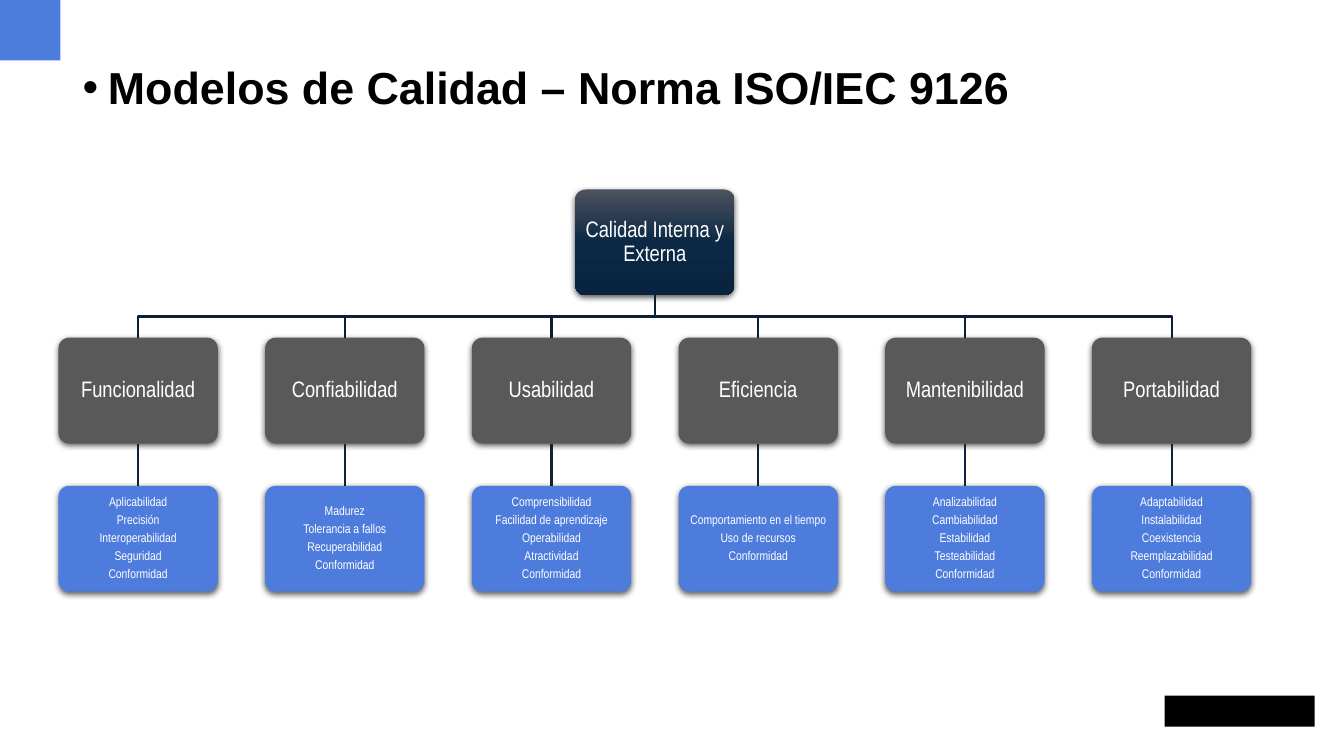
from dataclasses import dataclass

import pptx
import pptx.dml.color
import pptx.enum.shapes
import pptx.enum.text
import pptx.oxml
import pptx.oxml.ns
import pptx.shapes.autoshape
import pptx.slide
import pptx.util
from pptx.util import Inches

COLORS = {
    "accent": "4E7CDD",
    "characteristic": "595959",
    "text": "FFFFFF",
    "heading": "000000",
    "branch": "0B2034",
    "link": "0D243B",
}
ROOT_GRADIENT = {0: "4C525F", 50: "0B2844", 100: "08243E"}

BOX_WIDTH, BOX_HEIGHT = 1.58, 1.05
FIRST_LEFT, COLUMN_STEP = 0.58, 2.05
ROOT_TOP, CHARACTERISTIC_TOP, DETAIL_TOP = 1.88, 3.35, 4.82
TOP_SIDE, BOTTOM_SIDE = 0, 2


@dataclass(frozen=True)
class Level:
    top: float
    fill: str
    font_size: float
    inset: float


@dataclass(frozen=True)
class Characteristic:
    name: str
    details: tuple[str, ...]


ROOT = Level(ROOT_TOP, ROOT_GRADIENT[50], 16, 0.07)
CHARACTERISTIC = Level(CHARACTERISTIC_TOP, COLORS["characteristic"], 16, 0.07)
DETAIL = Level(DETAIL_TOP, COLORS["accent"], 9, 0.04)

CHARACTERISTICS = (
    Characteristic("Funcionalidad", (
        "Aplicabilidad", "Precisión", "Interoperabilidad", "Seguridad", "Conformidad")),
    Characteristic("Confiabilidad", (
        "Madurez", "Tolerancia a fallos", "Recuperabilidad", "Conformidad")),
    Characteristic("Usabilidad", (
        "Comprensibilidad", "Facilidad de aprendizaje", "Operabilidad",
        "Atractividad", "Conformidad")),
    Characteristic("Eficiencia", (
        "Comportamiento en el tiempo", "Uso de recursos", "Conformidad")),
    Characteristic("Mantenibilidad", (
        "Analizabilidad", "Cambiabilidad", "Estabilidad", "Testeabilidad", "Conformidad")),
    Characteristic("Portabilidad", (
        "Adaptabilidad", "Instalabilidad", "Coexistencia", "Reemplazabilidad",
        "Conformidad")),
)


def rgb(color: str) -> pptx.dml.color.RGBColor:
    return pptx.dml.color.RGBColor.from_string(color)


def add_shadow(box: pptx.shapes.autoshape.Shape) -> None:
    box.shadow.inherit = False
    effects = box._element.spPr.find(pptx.oxml.ns.qn("a:effectLst"))
    effects.append(pptx.oxml.parse_xml(
        f'<a:outerShdw {pptx.oxml.ns.nsdecls("a")} blurRad="57150" dist="19050" '
        'dir="5400000" algn="ctr" rotWithShape="0">'
        '<a:srgbClr val="000000"><a:alpha val="63000"/></a:srgbClr></a:outerShdw>'))


def apply_root_gradient(box: pptx.shapes.autoshape.Shape) -> None:
    box.fill.gradient()
    box.fill.gradient_angle = 270
    stops = box._element.spPr.find(".//" + pptx.oxml.ns.qn("a:gsLst"))
    stops.clear()
    for percent, color in ROOT_GRADIENT.items():
        stops.append(pptx.oxml.parse_xml(
            f'<a:gs {pptx.oxml.ns.nsdecls("a")} pos="{percent * 1000}">'
            f'<a:srgbClr val="{color}"/></a:gs>'))


def add_plain_shape(slide: pptx.slide.Slide, kind: pptx.enum.shapes.MSO_SHAPE,
                    left: float, top: float, width: float, height: float,
                    color: str) -> pptx.shapes.autoshape.Shape:
    shape = slide.shapes.add_shape(
        kind, Inches(left), Inches(top), Inches(width), Inches(height))
    shape.shadow.inherit = False
    shape.fill.solid()
    shape.fill.fore_color.rgb = rgb(color)
    shape.line.fill.background()
    return shape


def add_box(slide: pptx.slide.Slide, level: Level, column: float,
            lines: tuple[str, ...]) -> pptx.shapes.autoshape.Shape:
    """Add one hierarchy box, with a paragraph for each line."""
    box = add_plain_shape(slide, pptx.enum.shapes.MSO_SHAPE.ROUNDED_RECTANGLE,
                          FIRST_LEFT + column * COLUMN_STEP, level.top,
                          BOX_WIDTH, BOX_HEIGHT, level.fill)
    box.adjustments[0] = 0.1
    add_shadow(box)
    frame = box.text_frame
    frame.word_wrap = True
    frame.vertical_anchor = pptx.enum.text.MSO_ANCHOR.MIDDLE
    frame.margin_left = frame.margin_right = Inches(level.inset)
    frame.margin_top = frame.margin_bottom = Inches(level.inset)
    for index, line in enumerate(lines):
        paragraph = frame.add_paragraph() if index else frame.paragraphs[0]
        paragraph.alignment = pptx.enum.text.PP_ALIGN.CENTER
        paragraph.line_spacing = 0.9
        paragraph.space_after = pptx.util.Pt(level.font_size * 0.35)
        run = paragraph.add_run()
        run.text = line
        run.font.name = "Arial Narrow"
        run.font.size = pptx.util.Pt(level.font_size)
        run.font.color.rgb = rgb(COLORS["text"])
    return box


def join_boxes(slide: pptx.slide.Slide, upper: pptx.shapes.autoshape.Shape,
               lower: pptx.shapes.autoshape.Shape, color: str) -> None:
    """Join the bottom of one box to the top of another, with an elbow if they are offset."""
    kinds = pptx.enum.shapes.MSO_CONNECTOR
    offset = lower.left - upper.left
    line = slide.shapes.add_connector(kinds.ELBOW if offset else kinds.STRAIGHT, 0, 0, 0, 0)
    line.begin_connect(upper, BOTTOM_SIDE)
    line.end_connect(lower, TOP_SIDE)
    properties = line._element.spPr
    if offset:
        # An elbow leaves sideways, so a quarter turn makes it leave downwards.
        span, drop = line.width, line.height
        line.left += (span - drop) // 2
        line.top += (drop - span) // 2
        line.width, line.height = drop, span
        properties.xfrm.set("rot", "16200000" if offset > 0 else "5400000")
        properties.xfrm.set("flipH", "1" if offset > 0 else "0")
    line.line.color.rgb = rgb(color)
    line.line.width = pptx.util.Pt(1.5)
    properties.append(pptx.oxml.parse_xml(f'<a:effectLst {pptx.oxml.ns.nsdecls("a")}/>'))


def add_heading(slide: pptx.slide.Slide) -> None:
    heading = slide.shapes.title
    heading.left, heading.top = Inches(0.72), Inches(0.6)
    heading.width, heading.height = Inches(10.13), Inches(0.51)
    frame = heading.text_frame
    frame.word_wrap = True
    frame.auto_size = pptx.enum.text.MSO_AUTO_SIZE.NONE
    frame.vertical_anchor = pptx.enum.text.MSO_ANCHOR.TOP
    paragraph = frame.paragraphs[0]
    properties = paragraph._p.get_or_add_pPr()
    properties.set("marL", str(Inches(0.25)))
    properties.set("indent", str(-Inches(0.25)))
    for bullet in ('buFont {} typeface="Arial"', 'buChar {} char="•"'):
        properties.append(pptx.oxml.parse_xml(
            f'<a:{bullet.format(pptx.oxml.ns.nsdecls("a"))}/>'))
    paragraph.alignment = pptx.enum.text.PP_ALIGN.LEFT
    paragraph.line_spacing = 0.9
    run = paragraph.add_run()
    run.text = "Modelos de Calidad – Norma ISO/IEC 9126"
    run.font.name = "Arial"
    run.font.size = pptx.util.Pt(32)
    run.font.bold = True
    run.font.color.rgb = rgb(COLORS["heading"])


def add_hierarchy(slide: pptx.slide.Slide) -> None:
    middle_column = (len(CHARACTERISTICS) - 1) / 2
    root = add_box(slide, ROOT, middle_column, ("Calidad Interna y Externa",))
    apply_root_gradient(root)
    for column, characteristic in enumerate(CHARACTERISTICS):
        name_box = add_box(slide, CHARACTERISTIC, column, (characteristic.name,))
        detail_box = add_box(slide, DETAIL, column, characteristic.details)
        join_boxes(slide, root, name_box, COLORS["branch"])
        join_boxes(slide, name_box, detail_box, COLORS["link"])


def main() -> None:
    deck = pptx.Presentation()
    deck.slide_width, deck.slide_height = Inches(13.33), Inches(7.5)
    slide = deck.slides.add_slide(deck.slide_layouts.get_by_name("Title Only"))
    rectangle = pptx.enum.shapes.MSO_SHAPE.RECTANGLE
    add_plain_shape(slide, rectangle, 0, 0, 0.6, 0.6, COLORS["accent"])
    add_plain_shape(slide, rectangle, 11.55, 6.9, 1.49, 0.31, COLORS["heading"])
    add_heading(slide)
    add_hierarchy(slide)
    deck.save("out.pptx")


if __name__ == "__main__":
    main()
